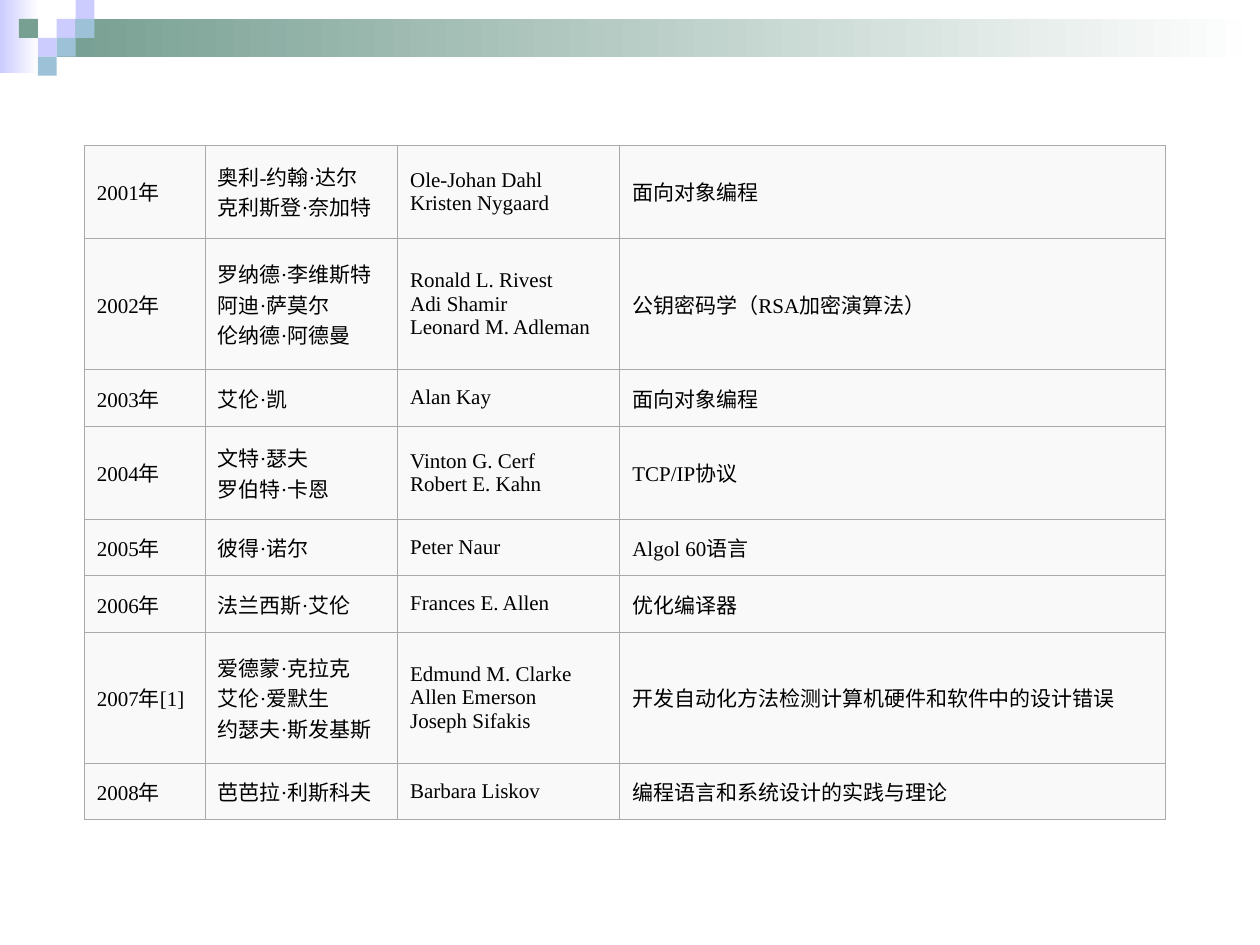
from lxml.etree import SubElement
from pptx import Presentation
from pptx.dml.color import RGBColor
from pptx.enum.shapes import MSO_SHAPE
from pptx.enum.text import MSO_ANCHOR
from pptx.oxml.ns import qn
from pptx.util import Pt

AWARDS = [
    ("2001年", ["奥利-约翰·达尔", "克利斯登·奈加特"],
     ["Ole-Johan Dahl", "Kristen Nygaard"], "面向对象编程"),
    ("2002年", ["罗纳德·李维斯特", "阿迪·萨莫尔", "伦纳德·阿德曼"],
     ["Ronald L. Rivest", "Adi Shamir", "Leonard M. Adleman"], "公钥密码学（RSA加密演算法）"),
    ("2003年", ["艾伦·凯"], ["Alan Kay"], "面向对象编程"),
    ("2004年", ["文特·瑟夫", "罗伯特·卡恩"],
     ["Vinton G. Cerf", "Robert E. Kahn"], "TCP/IP协议"),
    ("2005年", ["彼得·诺尔"], ["Peter Naur"], "Algol 60语言"),
    ("2006年", ["法兰西斯·艾伦"], ["Frances E. Allen"], "优化编译器"),
    ("2007年[1]", ["爱德蒙·克拉克", "艾伦·爱默生", "约瑟夫·斯发基斯"],
     ["Edmund M. Clarke", "Allen Emerson", "Joseph Sifakis"],
     "开发自动化方法检测计算机硬件和软件中的设计错误"),
    ("2008年", ["芭芭拉·利斯科夫"], ["Barbara Liskov"], "编程语言和系统设计的实践与理论"),
]
COLUMN_WIDTHS = [69, 110, 127, 312]
ROW_HEIGHTS = {1: 32.2, 2: 53.4, 3: 75.1}
TABLE_LEFT, TABLE_TOP = 48.2, 82.8
LAVENDER, GREEN, BLUE = "CCCCFF", "779F92", "9DC2D7"
BANDS = [(0, 0, 22.3, 42, LAVENDER), (32.4, 10.8, 687.6, 21.6, GREEN)]
SQUARE = 10.8
MOSAIC = [(3, 1, LAVENDER), (4, 0, LAVENDER), (4, 1, BLUE), (2, 2, LAVENDER),
          (1, 1, GREEN), (3, 2, BLUE), (2, 3, BLUE)]


def color(value):
    """Turn a hex string into a colour."""
    return RGBColor.from_string(value)


def add_box(slide, left, top, width, height, fill, fades=False):
    """Add a borderless rectangle, solid or fading to white on the right."""
    shape = slide.shapes.add_shape(
        MSO_SHAPE.RECTANGLE, Pt(left), Pt(top), Pt(width), Pt(height))
    shape.shadow.inherit = False
    shape.line.fill.background()
    if fades:
        shape.fill.gradient()
        shape.fill.gradient_angle = 0
        for stop, value in zip(shape.fill.gradient_stops, (fill, "FFFFFF")):
            stop.color.rgb = color(value)
    else:
        shape.fill.solid()
        shape.fill.fore_color.rgb = color(fill)


def add_borders(cell, value, width):
    """Draw a line on all four sides of a cell."""
    properties = cell._tc.get_or_add_tcPr()
    for index, side in enumerate(("a:lnL", "a:lnR", "a:lnT", "a:lnB")):
        line = properties.makeelement(qn(side), {"w": str(Pt(width))})
        properties.insert(index, line)
        SubElement(SubElement(line, qn("a:solidFill")), qn("a:srgbClr"), val=value)


def fill_cell(cell, text):
    """Write and format one table cell."""
    cell.vertical_anchor = MSO_ANCHOR.MIDDLE
    cell.fill.solid()
    cell.fill.fore_color.rgb = color("F9F9F9")
    add_borders(cell, "AAAAAA", 0.45)
    paragraph = cell.text_frame.paragraphs[0]
    paragraph.text = text
    paragraph.font.size = Pt(12)
    paragraph.font.name = "Times New Roman"
    paragraph.font.color.rgb = color("000000")


def add_award_table(slide):
    """Add the award table, with row heights set by the number of winners."""
    heights = [ROW_HEIGHTS[len(award[1])] for award in AWARDS]
    table = slide.shapes.add_table(
        len(AWARDS), len(COLUMN_WIDTHS), Pt(TABLE_LEFT), Pt(TABLE_TOP),
        Pt(sum(COLUMN_WIDTHS)), Pt(sum(heights))).table
    table.first_row = table.horz_banding = False
    for column, width in zip(table.columns, COLUMN_WIDTHS):
        column.width = Pt(width)
    for row, height, (year, chinese, english, field) in zip(table.rows, heights, AWARDS):
        row.height = Pt(height)
        texts = (year, "\n".join(chinese), "\n".join(english), field)
        for cell, text in zip(row.cells, texts):
            fill_cell(cell, text)


def main():
    """Build the slide and save it."""
    presentation = Presentation()
    presentation.slide_width, presentation.slide_height = Pt(720), Pt(540)
    slide = presentation.slides.add_slide(presentation.slide_layouts[6])
    for band in BANDS:
        add_box(slide, *band, fades=True)
    for column, row, fill in MOSAIC:
        add_box(slide, column * SQUARE, row * SQUARE, SQUARE, SQUARE, fill)
    add_award_table(slide)
    presentation.save("out.pptx")


if __name__ == "__main__":
    main()
